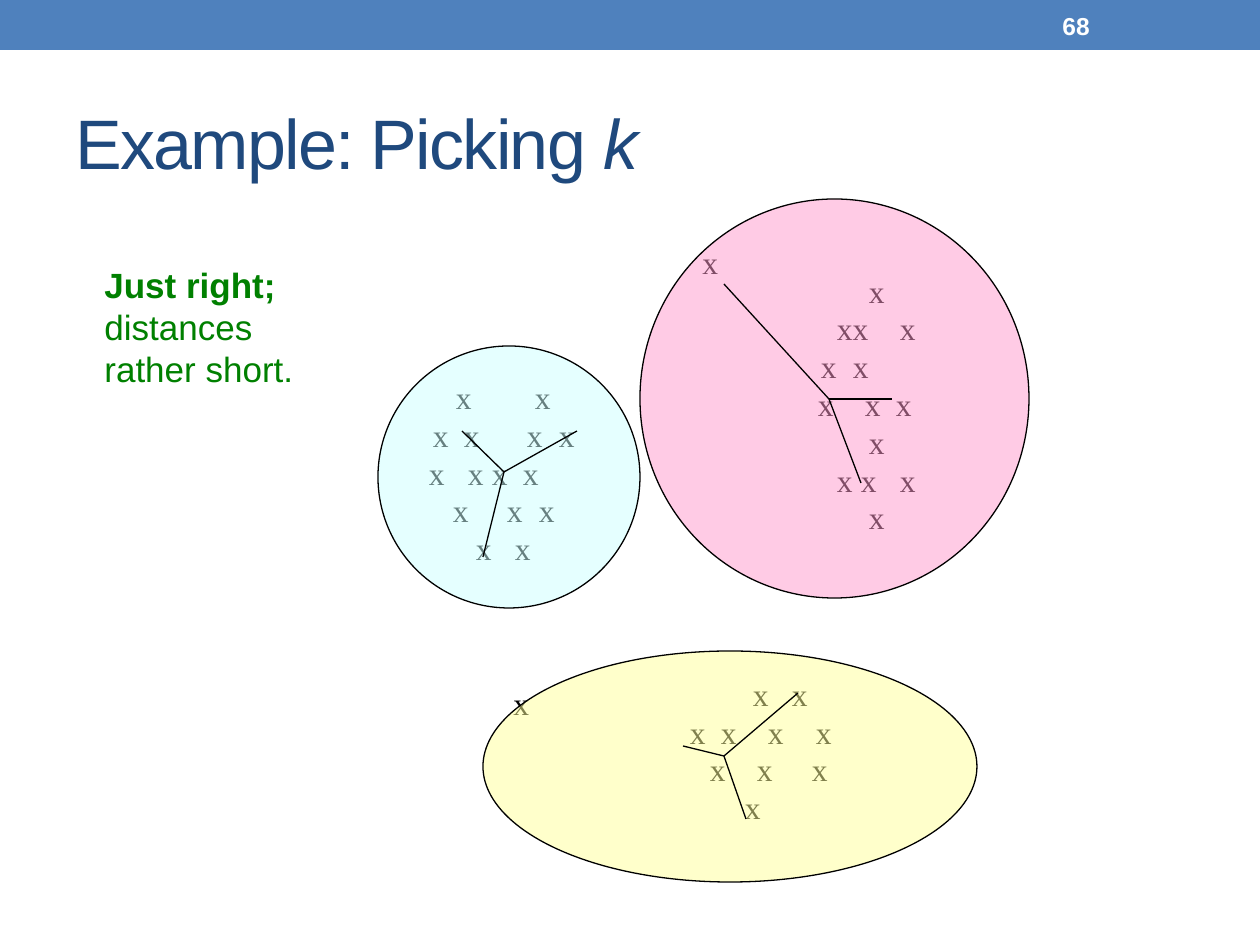
from dataclasses import dataclass

from lxml import etree
from pptx import Presentation
from pptx import util as u
from pptx.dml.color import RGBColor
from pptx.enum import shapes, text
from pptx.oxml.ns import qn

PX = 914400 / 126
SERIF, SANS = "Times New Roman", "Arial"


@dataclass
class Group:
    """One cluster: its marks, its oval and the spokes from its centre.

    Each row holds words of marks and the left edge of each word.
    """
    box: tuple
    rows: list
    oval: tuple
    fill: str
    hub: tuple
    ends: list


GROUPS = [
    Group((630, 640, 262, 221),
          [("x x", 753, 792), ("x x x x", 690, 721, 768, 816),
           ("x x x", 710, 757, 812), ("x", 745)],
          (483, 651, 494, 231), "FFFF99",
          (724, 756), [(683, 746), (798, 693), (746, 819)]),
    Group((378, 315, 252, 315),
          [("x x", 456, 535), ("x x x x", 433, 464, 527, 559),
           ("x x x x", 429, 468, 492, 523), ("x x x", 453, 507, 539),
           ("x x", 476, 515)],
          (378, 346, 262, 262), "CCFFFF",
          (504, 472), [(462, 431), (577, 431), (483, 557)]),
    Group((756, 210, 242, 388),
          [("x", 869), ("xx x", 837, 900), ("x x", 821, 853),
           ("x x x", 818, 865, 896), ("x", 869), ("x x x", 837, 861, 900),
           ("x", 869)],
          (640, 199, 389, 399), "FF99CC",
          (829, 399), [(724, 284), (892, 399), (861, 483)]),
]
LONERS = [(690, 237), (501, 678)]


def emu(*px: float) -> list:
    return [u.Emu(round(n * PX)) for n in px]


def color(code: str) -> RGBColor:
    return RGBColor.from_string(code)


def style(par, size: int, face: str, code: str, bold: bool = False) -> None:
    par.alignment = text.PP_ALIGN.LEFT
    for run in par.runs:
        font = run.font
        font.size, font.name, font.bold = u.Pt(size), face, bold
        font.color.rgb = color(code)


def add_text(slide, box: tuple, words: str, size: int, face: str, code: str,
             bold: bool = False, wrap: bool = True):
    frame = slide.shapes.add_textbox(*emu(*box)).text_frame
    frame.word_wrap = wrap
    frame.text = words
    for par in frame.paragraphs:
        style(par, size, face, code, bold)
    return frame


def add_oval(slide, box: tuple):
    oval = slide.shapes.add_shape(shapes.MSO_SHAPE.OVAL, *emu(*box))
    oval.shadow.inherit = False
    return oval


def add_marks(slide, group: Group) -> None:
    oval = add_oval(slide, group.box)
    oval.fill.background()
    oval.line.fill.background()
    frame = oval.text_frame
    frame.word_wrap = True
    frame.vertical_anchor = text.MSO_ANCHOR.MIDDLE
    frame.margin_left = frame.margin_right = 0
    frame.margin_top = frame.margin_bottom = 0
    # An oval's text area starts at the square inscribed in it
    left, _, wide, _ = group.box
    start = left + wide * (1 - 0.5 ** 0.5) / 2
    for i, (words, *edges) in enumerate(group.rows):
        par = frame.add_paragraph() if i else frame.paragraphs[0]
        par.text = "\t" + words.replace(" ", "\t")
        style(par, 18, SERIF, "000000")
        tabs = etree.SubElement(par._p.get_or_add_pPr(), qn("a:tabLst"))
        for edge in edges:
            pos = emu(edge - start)[0]
            etree.SubElement(tabs, qn("a:tab"), pos=str(int(pos)), algn="l")


def add_ring(slide, group: Group) -> None:
    oval = add_oval(slide, group.oval)
    oval.fill.solid()
    oval.fill.fore_color.rgb = color(group.fill)
    tint = oval._element.spPr.find(qn("a:solidFill"))[0]
    etree.SubElement(tint, qn("a:alpha"), val="50000")
    oval.line.color.rgb = color("000000")
    oval.line.width = u.Pt(0.75)


def add_spokes(slide, group: Group) -> None:
    for end in group.ends:
        line = slide.shapes.add_connector(
            shapes.MSO_CONNECTOR.STRAIGHT, *emu(*group.hub, *end))
        line.line.color.rgb = color("000000")
        line.line.width = u.Pt(0.75)
        etree.SubElement(line._element.spPr, qn("a:effectLst"))


def add_title(slide) -> None:
    title = slide.shapes.title
    title.left, title.top, title.width, title.height = emu(63, 73, 1134, 136)
    frame = title.text_frame
    frame.vertical_anchor = text.MSO_ANCHOR.MIDDLE
    par = frame.paragraphs[0]
    par.text = "Example: Picking "
    last = par.add_run()
    last.text = "k"
    style(par, 40, SANS, "1F497D")
    last.font.italic = True
    for run in par.runs:
        run._r.get_or_add_rPr().set("spc", "-100")


def main() -> None:
    deck = Presentation()
    deck.slide_width, deck.slide_height = emu(1260, 945)
    slide = deck.slides.add_slide(deck.slide_layouts[5])

    # Top band, title and page number
    band = slide.shapes.add_shape(shapes.MSO_SHAPE.RECTANGLE,
                                  *emu(0, 0, 1260, 50))
    band.shadow.inherit = False
    band.fill.solid()
    band.fill.fore_color.rgb = color("4F81BD")
    band.line.fill.background()
    add_title(slide)
    page = add_text(slide, (1050, 3, 147, 45), "68", 14, SANS, "FFFFFF", True)
    page.vertical_anchor = text.MSO_ANCHOR.MIDDLE

    # Marks lie under the tinted ovals, spokes on top
    for group in GROUPS:
        add_marks(slide, group)
    for spot in LONERS:
        add_text(slide, (*spot, 47, 63), "x", 18, SERIF, "000000")
    for group in GROUPS:
        add_ring(slide, group)
    for group in GROUPS:
        add_spokes(slide, group)

    # Verdict
    note = add_text(slide, (92, 257, 215, 140),
                    "Just right;\ndistances\nrather short.",
                    20, SANS, "008000", wrap=False)
    note.paragraphs[0].runs[0].font.bold = True

    deck.save("out.pptx")


if __name__ == "__main__":
    main()
